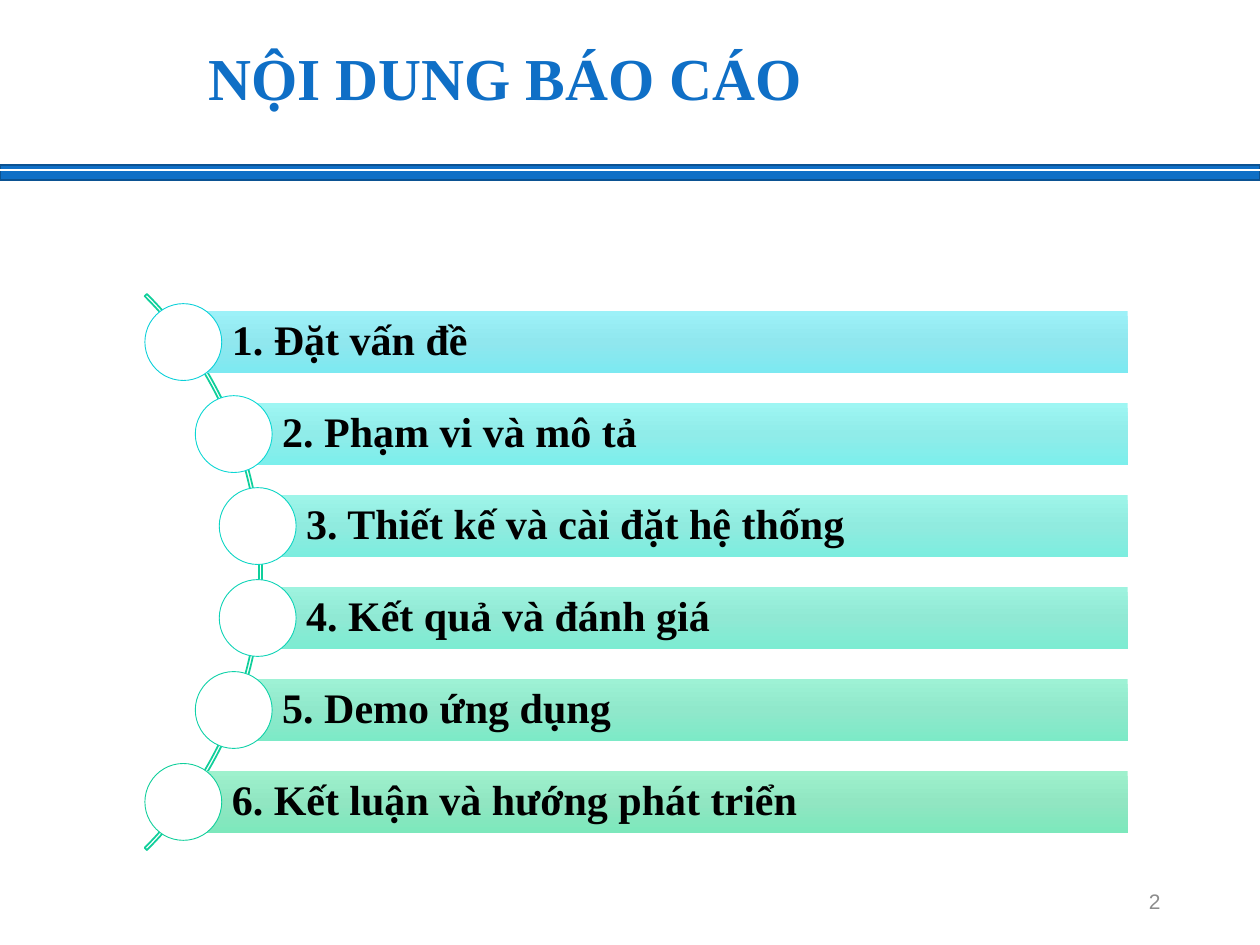
from copy import deepcopy

from lxml.etree import SubElement
from pptx import Presentation
from pptx.dml.color import RGBColor
from pptx.enum.shapes import MSO_CONNECTOR as Connector, MSO_SHAPE as Shape
from pptx.enum.text import MSO_ANCHOR as Anchor, MSO_AUTO_SIZE as AutoSize, PP_ALIGN as Align
from pptx.oxml.ns import qn
from pptx.util import Inches, Pt


def color(value):
    return RGBColor.from_string(value)


class SlideBuilder:
    heading_font = "Times New Roman"
    number_font = "Arial"
    blue = "0F6FC6"
    white = "FFFFFF"

    def __init__(self, slide):
        self.slide = slide

    def add_text(self, shape, text, size, font, text_color, bold=False,
                 align=Align.LEFT, anchor=Anchor.MIDDLE, spacing=1.0):
        frame = shape.text_frame
        frame.word_wrap = True
        frame.auto_size = AutoSize.NONE
        frame.vertical_anchor = anchor
        paragraph = frame.paragraphs[0]
        paragraph.alignment = align
        paragraph.line_spacing = spacing
        run = paragraph.add_run()
        run.text = text
        run.font.size = Pt(size)
        run.font.name = font
        run.font.bold = bold
        run.font.color.rgb = color(text_color)

    def title(self, text, left, top, width, height):
        shape = self.slide.shapes.title
        shape.left, shape.top = Inches(left), Inches(top)
        shape.width, shape.height = Inches(width), Inches(height)
        self.add_text(shape, text, 34, self.heading_font, self.blue, True,
                      Align.CENTER, Anchor.TOP, 0.9)

    def number(self, text, left, top, width, height):
        box = self.slide.shapes.add_textbox(
            Inches(left), Inches(top), Inches(width), Inches(height))
        self.add_text(box, text, 12, self.number_font, "8C8C8C", align=Align.RIGHT)

    def shape(self, kind, left, top, width, height, fill=None, line=None, weight=1):
        shape = self.slide.shapes.add_shape(
            kind, Inches(left), Inches(top), Inches(width), Inches(height))
        shape.shadow.inherit = False
        if fill:
            shape.fill.solid()
            shape.fill.fore_color.rgb = color(fill)
        else:
            shape.fill.background()
        if line:
            shape.line.color.rgb = color(line)
            shape.line.width = Pt(weight)
        else:
            shape.line.fill.background()
        return shape

    def rule(self, left, top, width):
        line = self.slide.shapes.add_connector(
            Connector.STRAIGHT, Inches(left), Inches(top), Inches(left + width), Inches(top))
        line.line.color.rgb = color(self.white)
        line.line.width = Pt(1.5)
        SubElement(line.element.spPr, qn("a:effectLst"))

    def arc(self, left, top, size, line):
        shape = self.shape(Shape.BLOCK_ARC, left, top, size, size, line=line)
        for index, value in enumerate((189, 27, 0.004)):
            shape.adjustments[index] = value

    def gradient(self, shape, colors):
        shape.fill.gradient()
        shape.fill.gradient_angle = 270
        stop_list = shape.element.spPr.find(qn("a:gradFill")).find(qn("a:gsLst"))
        stop_list.append(deepcopy(stop_list[-1]))
        for stop, position, value in zip(shape.fill.gradient_stops, (0, 0.5, 1), colors):
            stop.position = position
            stop.color.rgb = color(value)

    def bar(self, text, left, top, width, height, colors):
        shape = self.shape(Shape.RECTANGLE, left, top, width, height)
        self.gradient(shape, colors)
        frame = shape.text_frame
        frame.margin_left = Inches(0.39)
        frame.margin_top = frame.margin_right = frame.margin_bottom = Inches(0.07)
        self.add_text(shape, text, 24, self.heading_font, "000000", True, spacing=0.9)

    def circle(self, left, top, size, line):
        self.shape(Shape.FLOWCHART_CONNECTOR, left, top, size, size, self.white, line, 0.5)


TOPICS = [
    ("1. Đặt vấn đề", 1.45, ("9DF1F8", "90E7EE", "7CE9F1"), "0BD0D9"),
    ("2. Phạm vi và mô tả", 1.85, ("9EF6F3", "90ECE9", "7CEFEC"), "0CD7D3"),
    ("3. Thiết kế và cài đặt hệ thống", 2.04, ("9EF5E9", "90EBDF", "7CEDDF"), "0DD5C4"),
    ("4. Kết quả và đánh giá", 2.04, ("9EF3DF", "90E9D4", "7CECD2"), "0ED3B6"),
    ("5. Demo ứng dụng", 1.85, ("9EF2D5", "90E8CB", "7CEAC7"), "0FD1A8"),
    ("6. Kết luận và hướng phát triển", 1.45, ("9EF1CD", "91E6C2", "7CE8BC"), "10CF9B"),
]
BAR_TOP, BAR_STEP, BAR_HEIGHT, BAR_RIGHT = 2.47, 0.73, 0.49, 8.95
CIRCLE_SIZE = 0.61


def main():
    presentation = Presentation()
    presentation.slide_width, presentation.slide_height = Inches(10), Inches(7.5)
    slide = presentation.slides.add_slide(presentation.slide_layouts[5])
    builder = SlideBuilder(slide)

    builder.shape(Shape.RECTANGLE, 0, 1.31, 10, 0.12, builder.blue, "0B5292")
    builder.rule(0, 1.35, 10)
    builder.number("2", 7.06, 6.95, 2.25, 0.4)
    builder.title("NỘI DUNG BÁO CÁO", -0.99, 0.34, 10, 1.29)

    builder.arc(-4.16, 1.42, 6.24, "10CF9B")
    for index, (text, left, colors, outline) in enumerate(TOPICS):
        top = BAR_TOP + index * BAR_STEP
        builder.bar(text, left, top, BAR_RIGHT - left, BAR_HEIGHT, colors)
        builder.circle(left - 0.3, top + (BAR_HEIGHT - CIRCLE_SIZE) / 2, CIRCLE_SIZE, outline)

    presentation.save("out.pptx")


if __name__ == "__main__":
    main()
